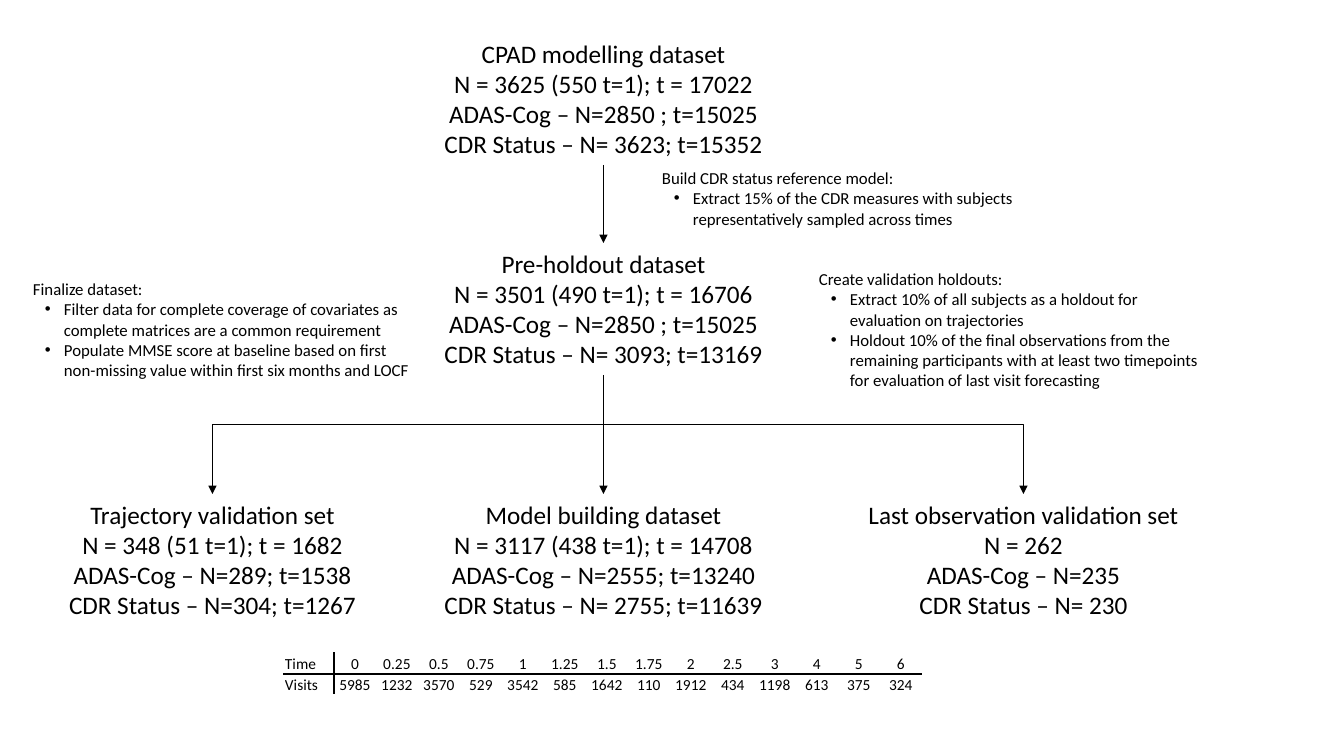
"""Build the slide showing how the CPAD dataset is split for modelling and validation."""
from lxml import etree
from pptx import Presentation
from pptx import util as u
from pptx.dml.color import RGBColor
from pptx.enum import shapes, text
from pptx.oxml.ns import qn

BLACK = RGBColor(0, 0, 0)
WHITE = RGBColor(255, 255, 255)
FONT = "Calibri"
PX = u.Inches(1) / 100.8

BOX_W, BOX_H = 361, 132
MIDDLE, TOP_ROW, HOLDOUT_ROW, BOTTOM_ROW = 423, 33, 243, 494
DATASETS = {
    "modelling": (MIDDLE, TOP_ROW, [
        "CPAD modelling dataset", "N = 3625 (550 t=1); t = 17022",
        "ADAS-Cog – N=2850 ; t=15025", "CDR Status – N= 3623; t=15352"]),
    "holdout": (MIDDLE, HOLDOUT_ROW, [
        "Pre-holdout dataset", "N = 3501 (490 t=1); t = 16706",
        "ADAS-Cog – N=2850 ; t=15025", "CDR Status – N= 3093; t=13169"]),
    "building": (MIDDLE, BOTTOM_ROW, [
        "Model building dataset", "N = 3117 (438 t=1); t = 14708",
        "ADAS-Cog – N=2555; t=13240", "CDR Status – N= 2755; t=11639"]),
    "trajectory": (32, BOTTOM_ROW, [
        "Trajectory validation set", "N = 348 (51 t=1); t = 1682",
        "ADAS-Cog – N=289; t=1538", "CDR Status – N=304; t=1267"]),
    "last": (843, BOTTOM_ROW, [
        "Last observation validation set", "N = 262",
        "ADAS-Cog – N=235", "CDR Status – N= 230"]),
}
NOTES = [
    ((652, 163, 376, 72), [
        "Build CDR status reference model:",
        "Extract 15% of the CDR measures with subjects representatively sampled across times"]),
    ((809, 264, 405, 132), [
        "Create validation holdouts:",
        "Extract 10% of all subjects as a holdout for evaluation on trajectories",
        "Holdout 10% of the final observations from the remaining participants with "
        "at least two timepoints for evaluation of last visit forecasting"]),
    ((23, 274, 405, 112), [
        "Finalize dataset:",
        "Filter data for complete coverage of covariates as complete matrices are a common requirement",
        "Populate MMSE score at baseline based on first \v"
        "non-missing value within first six months and LOCF"]),
]
FLOWS = [("modelling", "holdout"), ("holdout", "building")]
BRANCHES = ["trajectory", "last"]
BRANCH_Y = 424
VISITS = [
    ["Time", "0", "0.25", "0.5", "0.75", "1", "1.25", "1.5", "1.75", "2", "2.5", "3", "4", "5", "6"],
    ["Visits", "5985", "1232", "3570", "529", "3542", "585", "1642", "110", "1912", "434", "1198",
     "613", "375", "324"],
]
TABLE_X, TABLE_Y, LABEL_W, VALUE_W, ROW_H = 284, 653, 50, 42, 21


def px(*lengths):
    return [u.Emu(round(length * PX)) for length in lengths]


def apply(target, **values):
    for name, value in values.items():
        setattr(target, name, value)


def write(para, words, size, align):
    apply(para, text=words, alignment=align)
    for span in para.runs:
        apply(span.font, size=u.Pt(size), name=FONT)
        span.font.color.rgb = BLACK
    for line_break in para._p.findall(qn("a:br")):
        etree.SubElement(line_break, qn("a:rPr"), sz=str(size * 100))


def add_text(page, place, lines, size, align, bulleted=False):
    box = page.shapes.add_textbox(*px(*place))
    frame = box.text_frame
    apply(frame, word_wrap=True, auto_size=text.MSO_AUTO_SIZE.SHAPE_TO_FIT_TEXT)
    for index, words in enumerate(lines):
        para = frame.add_paragraph() if index else frame.paragraphs[0]
        write(para, words, size, align)
        if bulleted and index:
            margin, indent = px(31, -19)
            props = para._p.get_or_add_pPr()
            props.set("marL", str(margin))
            props.set("indent", str(indent))
            etree.SubElement(props, qn("a:buFont"), typeface="Arial")
            etree.SubElement(props, qn("a:buChar"), char="•")
    return box


def add_arrow(page, kind, start, end):
    arrow = page.shapes.add_connector(kind, *px(*start, *end))
    arrow.line.width = u.Pt(0.5)
    arrow.line.color.rgb = BLACK
    etree.SubElement(arrow.line._get_or_add_ln(), qn("a:tailEnd"), type="triangle")
    etree.SubElement(arrow._element.spPr, qn("a:effectLst"))
    return arrow


def add_border(cell, side, color):
    line = etree.SubElement(cell._tc.get_or_add_tcPr(), qn(f"a:ln{side}"), w=str(u.Pt(1)))
    fill = etree.SubElement(line, qn("a:solidFill"))
    etree.SubElement(fill, qn("a:srgbClr"), val=str(color))


def add_visits(page):
    count = len(VISITS[0])
    width = LABEL_W + VALUE_W * (count - 1)
    place = px(TABLE_X, TABLE_Y, width, ROW_H * len(VISITS))
    table = page.shapes.add_table(len(VISITS), count, *place).table
    apply(table, first_row=False, horz_banding=False)
    label_w, value_w, row_h, inset = px(LABEL_W, VALUE_W, ROW_H, 1)
    for c, column in enumerate(table.columns):
        column.width = value_w if c else label_w
    for r, row in enumerate(VISITS):
        table.rows[r].height = row_h
        for c, words in enumerate(row):
            cell = table.cell(r, c)
            apply(cell, margin_left=inset, margin_right=inset, margin_top=inset, margin_bottom=0,
                  vertical_anchor=text.MSO_ANCHOR.BOTTOM)
            ruled = {"L": c == 1, "R": c == 0, "T": r == 1, "B": r == 0}
            for side, dark in ruled.items():
                add_border(cell, side, BLACK if dark else WHITE)
            cell.fill.solid()
            cell.fill.fore_color.rgb = WHITE
            align = text.PP_ALIGN.CENTER if c else text.PP_ALIGN.LEFT
            write(cell.text_frame.paragraphs[0], words, 11, align)


def main():
    deck = Presentation()
    deck.slide_width, deck.slide_height = px(1344, 756)
    page = deck.slides.add_slide(deck.slide_layouts[6])
    boxes = {name: add_text(page, (x, y, BOX_W, BOX_H), lines, 18, text.PP_ALIGN.CENTER)
             for name, (x, y, lines) in DATASETS.items()}
    for place, lines in NOTES:
        add_text(page, place, lines, 12, text.PP_ALIGN.LEFT, bulleted=True)
    center = MIDDLE + BOX_W / 2
    for source, target in FLOWS:
        start = (center, DATASETS[source][1] + BOX_H)
        arrow = add_arrow(page, shapes.MSO_CONNECTOR.STRAIGHT, start, (center, DATASETS[target][1]))
        arrow.begin_connect(boxes[source], 2)
        arrow.end_connect(boxes[target], 0)
    for name in BRANCHES:
        x, y, _ = DATASETS[name]
        arrow = add_arrow(page, shapes.MSO_CONNECTOR.ELBOW, (center, BRANCH_Y), (x + BOX_W / 2, y))
        arrow._element.spPr.find(qn("a:prstGeom")).set("prst", "bentConnector2")
    add_visits(page)
    deck.save("out.pptx")


if __name__ == "__main__":
    main()
